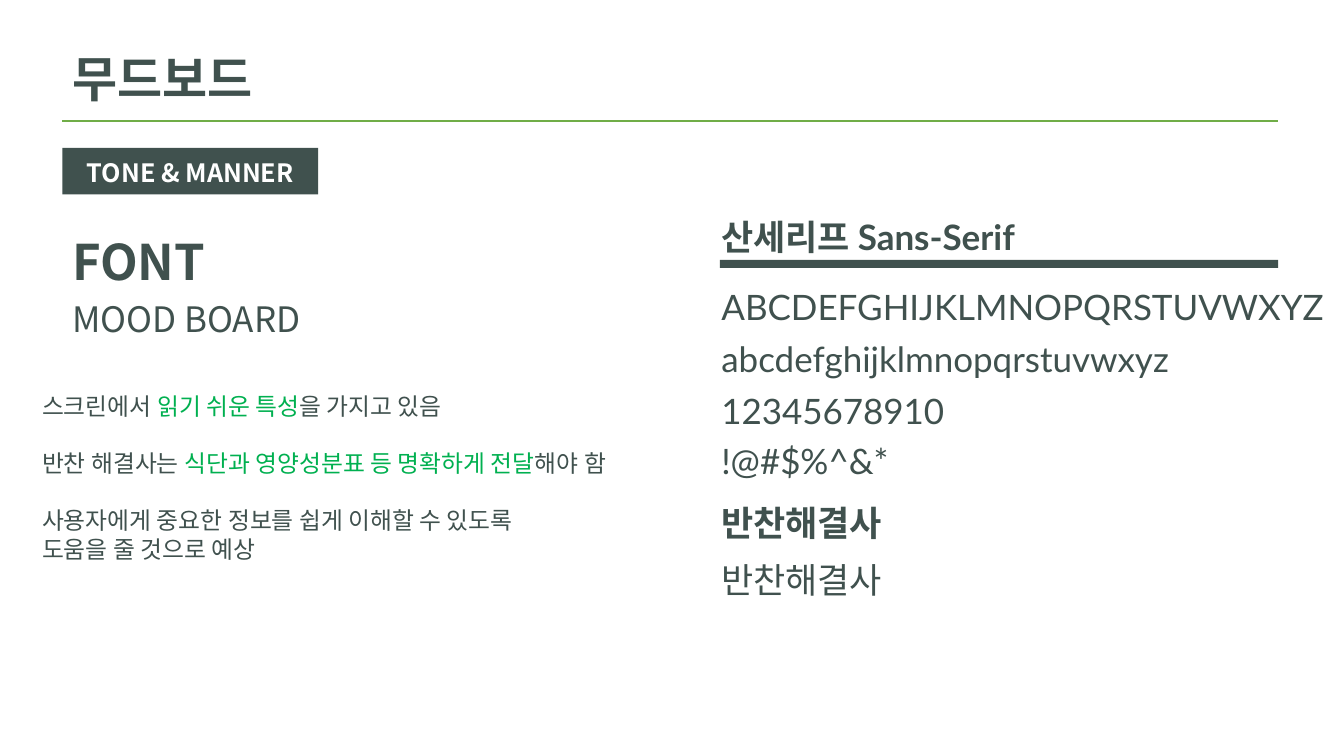
from lxml.etree import SubElement
from pptx import Presentation
from pptx.dml.color import RGBColor
from pptx.enum.shapes import MSO_CONNECTOR as Connector, MSO_SHAPE as Shape
from pptx.enum.text import MSO_ANCHOR as Anchor, PP_ALIGN as Align
from pptx.oxml.ns import qn
from pptx.util import Cm, Pt

COLORS = {"dark": "40514E", "rule": "70AD47", "accent": "00B050", "white": "FFFFFF"}
KOREAN = "Noto Sans CJK KR"
LATIN = "Lato"


def color(name):
    return RGBColor.from_string(COLORS[name])


def write(paragraph, text, size=25, bold=False, ink="dark", font=KOREAN, leading=1.27):
    run = paragraph.add_run()
    run.text = text
    run.font.size = Pt(size)
    run.font.bold = bold
    run.font.color.rgb = color(ink)
    run.font.name = font
    SubElement(run.font._element, qn("a:ea")).set("typeface", KOREAN)
    paragraph.line_spacing = Pt(round(size * leading, 1))


class MoodBoard:
    """Draws the elements of the mood board in one shared style."""

    def __init__(self, slide):
        self.slide = slide

    def frame(self, left, top, width, height):
        box = self.slide.shapes.add_textbox(Cm(left), Cm(top), Cm(width), Cm(height))
        box.text_frame.word_wrap = True
        return box.text_frame

    def label(self, text, left, top, width, height, **style):
        write(self.frame(left, top, width, height).paragraphs[0], text, **style)

    def body(self, lines, left, top, width, height, size, gap):
        frame = self.frame(left, top, width, height)
        for index, (spaced, parts) in enumerate(lines):
            paragraph = frame.add_paragraph() if index else frame.paragraphs[0]
            if spaced:
                paragraph.space_before = Pt(gap)
            for text, ink in parts:
                write(paragraph, text, size=size, ink=ink, leading=1.2)

    def bar(self, left, top, width, height):
        shape = self.slide.shapes.add_shape(
            Shape.RECTANGLE, Cm(left), Cm(top), Cm(width), Cm(height))
        shape.shadow.inherit = False
        shape.fill.solid()
        shape.fill.fore_color.rgb = color("dark")
        shape.line.fill.background()
        return shape

    def badge(self, text, left, top, width, height, **style):
        frame = self.bar(left, top, width, height).text_frame
        frame.vertical_anchor = Anchor.MIDDLE
        paragraph = frame.paragraphs[0]
        paragraph.alignment = Align.CENTER
        write(paragraph, text, **style)

    def rule(self, left, right, y):
        line = self.slide.shapes.add_connector(
            Connector.STRAIGHT, Cm(left), Cm(y), Cm(right), Cm(y))
        line.line.color.rgb = color("rule")
        line.line.width = Pt(2)
        SubElement(line._element.spPr, qn("a:effectLst"))


def main():
    presentation = Presentation()
    presentation.slide_width, presentation.slide_height = Cm(33.87), Cm(19.05)
    board = MoodBoard(presentation.slides.add_slide(presentation.slide_layouts[6]))

    margin, column = 1.57, 17.93
    board.label("무드보드", margin, 1.02, 15.57, 1.75, size=35, bold=True)
    board.badge("TONE & MANNER", margin, 3.73, 6.45, 1.17, size=18, bold=True, ink="white")
    board.label("FONT", margin, 5.61, 5.23, 1.75, size=35, bold=True)
    board.label("MOOD BOARD", margin, 7.32, 7.26, 1.32)
    board.rule(margin, 32.21, 3.05)

    reasons = [
        (False, [("스크린에서 ", "dark"), ("읽기 쉬운 특성", "accent"),
                 ("을 가지고 있음", "dark")]),
        (True, [("반찬 해결사는 ", "dark"),
                ("식단과 영양성분표 등 명확하게 전달", "accent"), ("해야 함", "dark")]),
        (True, [("사용자에게 중요한 정보를 쉽게 이해할 수 있도록", "dark")]),
        (False, [("도움을 줄 것으로 예상", "dark")]),
    ]
    board.body(reasons, 0.81, 9.75, 17.12, 4.62, size=17, gap=20.4)

    board.label("산세리프 Sans-Serif", column, 5.23, 11.43, 1.32, bold=True, font=LATIN)
    board.bar(18.14, 6.55, 14.07, 0.2)
    specimens = [
        ("ABCDEFGHIJKLMNOPQRSTUVWXYZ", 7.06),
        ("abcdefghijklmnopqrstuvwxyz", 8.38),
        ("12345678910", 9.7),
        ("!@#$%^&*", 10.95),
    ]
    for text, top in specimens:
        board.label(text, column, top, 16.26, 1.32, font=LATIN, leading=1.2)
    for top, bold in ((12.45, True), (13.89, False)):
        board.label("반찬해결사", column, top, 9.37, 1.32, bold=bold, font=LATIN)

    presentation.save("out.pptx")


if __name__ == "__main__":
    main()
